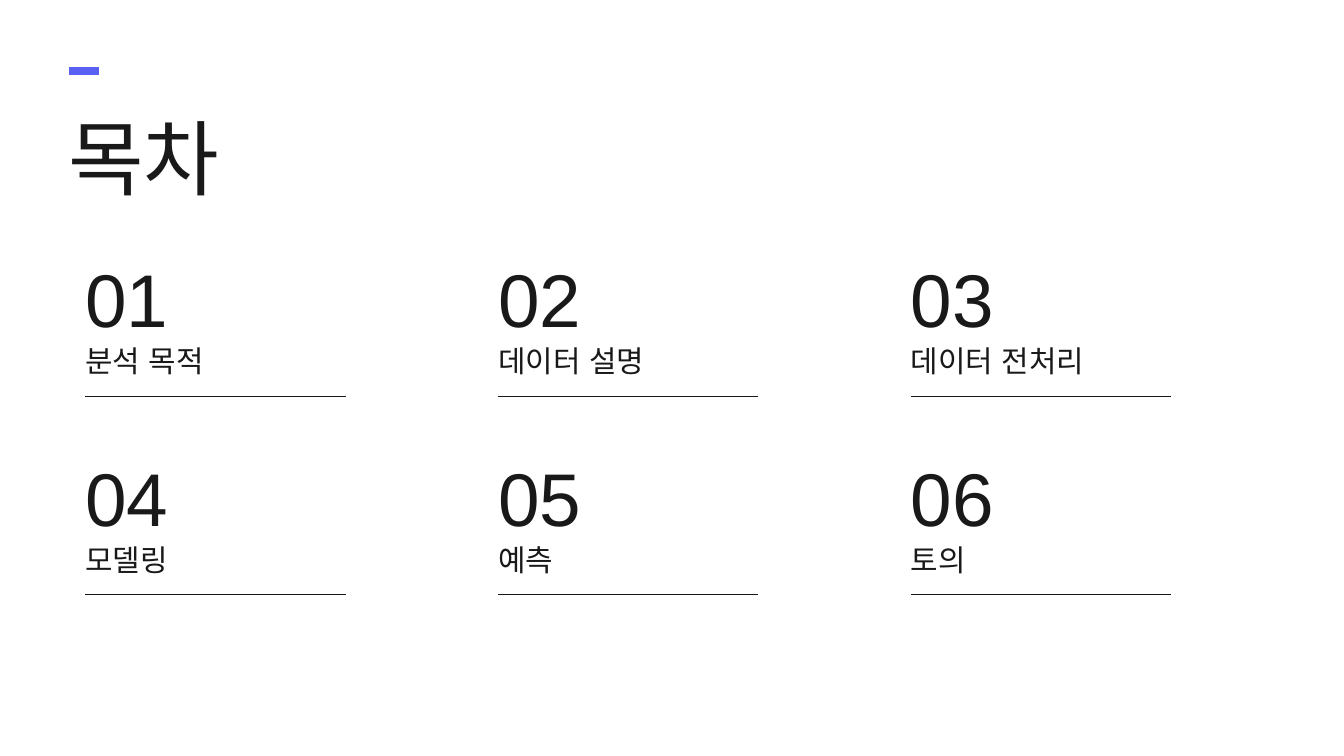
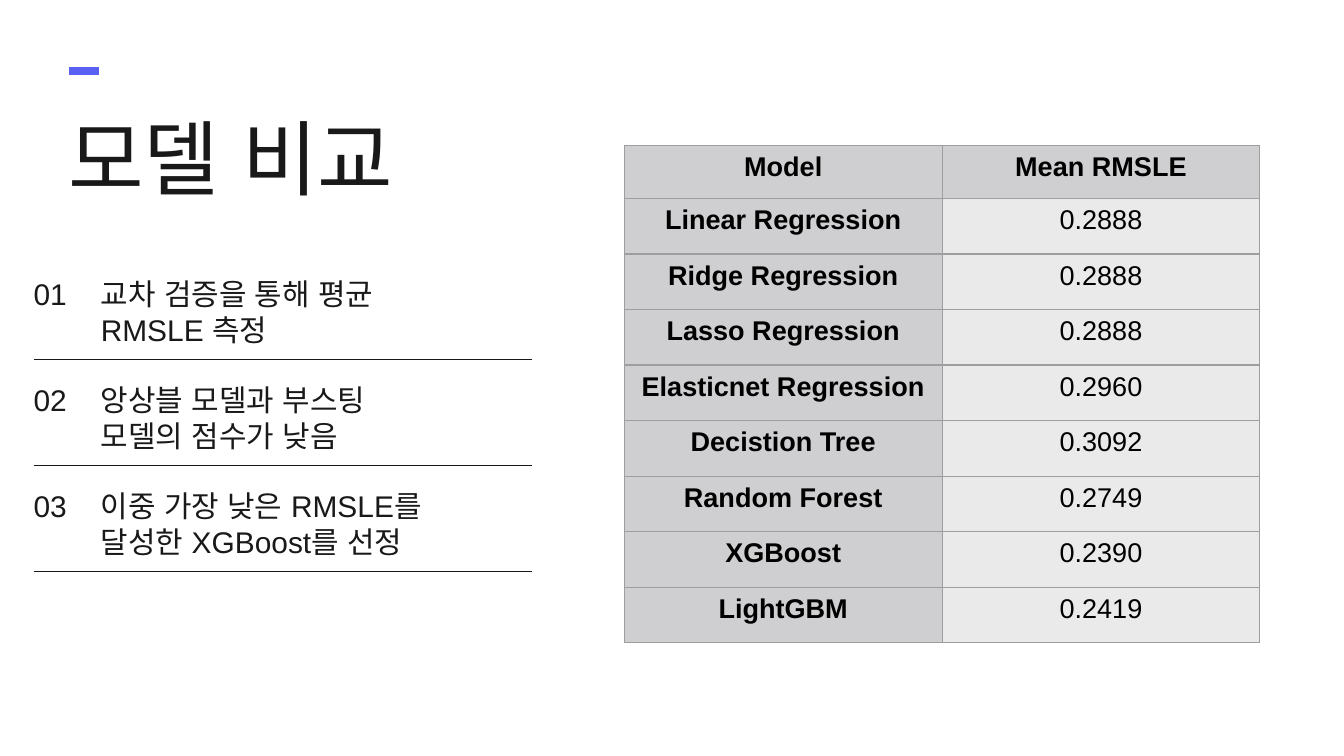
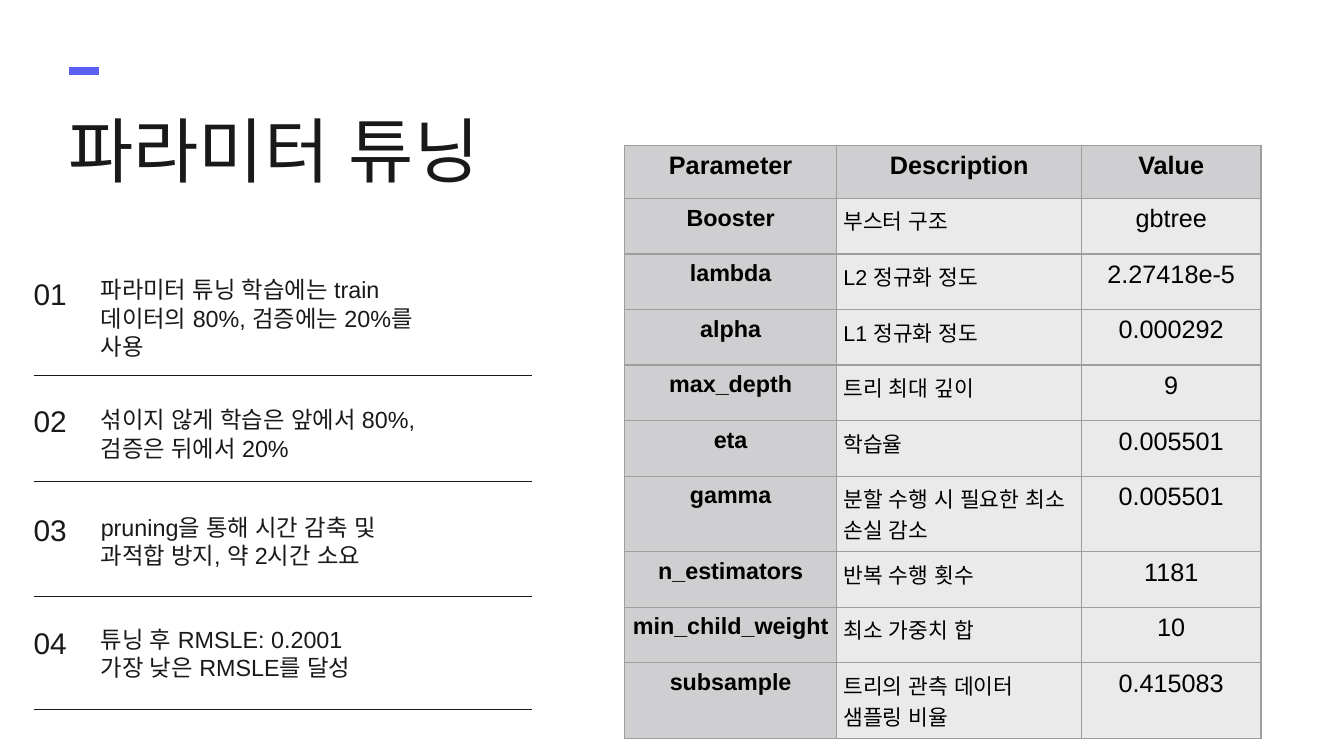
import pptx
import pptx.dml.color
import pptx.enum.lang
import pptx.enum.shapes
import pptx.enum.text
import pptx.oxml.ns
import pptx.util
from lxml import etree
from pptx.util import Cm

INK = pptx.dml.color.RGBColor(0x19, 0x19, 0x19)
BLACK = pptx.dml.color.RGBColor(0x00, 0x00, 0x00)
ACCENT = pptx.dml.color.RGBColor(0x5A, 0x60, 0xF1)
CELL_GREY = pptx.dml.color.RGBColor(0xCF, 0xCF, 0xD1)
BORDER_GREY = pptx.dml.color.RGBColor(0x9E, 0x9E, 0x9E)

FONT = "Arial"
LINE_HEIGHT = 1.21
CENTER = pptx.enum.text.PP_ALIGN.CENTER
LEFT = pptx.enum.text.PP_ALIGN.LEFT
FRAME_FORMAT = {
    "margin_left": 0,
    "margin_right": 0,
    "margin_top": 0,
    "margin_bottom": 0,
    "word_wrap": True,
    "auto_size": pptx.enum.text.MSO_AUTO_SIZE.NONE,
    "vertical_anchor": pptx.enum.text.MSO_ANCHOR.TOP,
}
CELL_FORMAT = {
    "margin_left": Cm(0.25),
    "margin_right": Cm(0.25),
    "margin_top": Cm(0.25),
    "margin_bottom": Cm(0.25),
    "vertical_anchor": pptx.enum.text.MSO_ANCHOR.TOP,
}

AGENDA = ["분석 목적", "데이터 설명", "데이터 전처리", "모델링", "예측", "토의"]

MODEL_NOTES = [
    "교차 검증을 통해 평균 RMSLE 측정",
    "앙상블 모델과 부스팅 모델의 점수가 낮음",
    "이중 가장 낮은 RMSLE를 달성한 XGBoost를 선정",
]
MODEL_SCORES = [
    ("Model", "Mean RMSLE"),
    ("Linear Regression", "0.2888"),
    ("Ridge Regression", "0.2888"),
    ("Lasso Regression", "0.2888"),
    ("Elasticnet Regression", "0.2960"),
    ("Decistion Tree", "0.3092"),
    ("Random Forest", "0.2749"),
    ("XGBoost", "0.2390"),
    ("LightGBM", "0.2419"),
]

TUNING_NOTES = [
    (10.41, 10.41, 14.2, "파라미터 튜닝 학습에는 train 데이터의 80%, 검증에는 20%를 사용"),
    (15.21, 15.32, 18.19, "섞이지 않게 학습은 앞에서 80%, 검증은 뒤에서 20%"),
    (19.35, 19.38, 22.56, "pruning을 통해 시간 감축 및 과적합 방지, 약 2시간 소요"),
    (23.6, 23.62, 26.8, "튜닝 후 RMSLE: 0.2001\n가장 낮은 RMSLE를 달성"),
]
PARAMETERS = [
    ("Parameter", "Description", "Value"),
    ("Booster", "부스터 구조", "gbtree"),
    ("lambda", "L2 정규화 정도", "2.27418e-5"),
    ("alpha", "L1 정규화 정도", "0.000292"),
    ("max_depth", "트리 최대 깊이", "9"),
    ("eta", "학습율", "0.005501"),
    ("gamma", "분할 수행 시 필요한 최소 손실 감소", "0.005501"),
    ("n_estimators", "반복 수행 횟수", "1181"),
    ("min_child_weight", "최소 가중치 합", "10"),
    ("subsample", "트리의 관측 데이터 샘플링 비율", "0.415083"),
]


def apply(target, values):
    for name, value in values.items():
        setattr(target, name, value)


def add_xml(parent, tag, **attributes):
    return etree.SubElement(parent, pptx.oxml.ns.qn(tag), attributes)


class Deck:
    def __init__(self):
        self.presentation = pptx.Presentation()
        self.presentation.slide_width = Cm(50.8)
        self.presentation.slide_height = Cm(28.58)
        self.slide = None

    def new_slide(self, heading, size=88):
        self.slide = self.presentation.slides.add_slide(self.presentation.slide_layouts[5])
        title = self.slide.shapes.title
        apply(title, {"left": Cm(2.59), "top": Cm(4.01),
                      "width": Cm(17.15), "height": Cm(3.76)})
        self.set_text(title.text_frame, heading, size)
        self.rule(2.59, 2.69, 1.17, ACCENT, 8)

    def style_runs(self, paragraph, size, color, bold=False):
        for run in paragraph.runs:
            apply(run.font, {"name": FONT, "size": pptx.util.Pt(size), "bold": bold,
                             "language_id": pptx.enum.lang.MSO_LANGUAGE_ID.KOREAN})
            run.font.color.rgb = color

    def set_text(self, frame, content, size):
        apply(frame, FRAME_FORMAT)
        frame.text = content
        for paragraph in frame.paragraphs:
            apply(paragraph, {"alignment": LEFT,
                              "line_spacing": pptx.util.Pt(size * LINE_HEIGHT)})
            self.style_runs(paragraph, size, INK)
            for run in paragraph.runs:
                add_xml(run._r.get_or_add_rPr(), "a:ea", typeface=FONT)

    def text(self, left, top, width, height, content, size):
        box = self.slide.shapes.add_textbox(Cm(left), Cm(top), Cm(width), Cm(height))
        self.set_text(box.text_frame, content, size)

    def rule(self, left, top, length, color=INK, weight=0.75):
        line = self.slide.shapes.add_connector(
            pptx.enum.shapes.MSO_CONNECTOR.STRAIGHT,
            Cm(left), Cm(top), Cm(left + length), Cm(top))
        line.line.color.rgb = color
        line.line.width = pptx.util.Pt(weight)
        add_xml(line._element.spPr, "a:effectLst")

    def note(self, number, number_top, text_top, rule_top, content, size):
        self.rule(1.27, rule_top, 18.82)
        self.text(1.27, number_top, 2.29, 1.37, f"{number:02}", 32)
        self.text(3.81, text_top, 12.93, 2.74, content, size)

    def border(self, cell):
        properties = cell._tc.get_or_add_tcPr()
        for side in ("a:lnL", "a:lnR", "a:lnT", "a:lnB"):
            edge = add_xml(properties, side, w=str(int(pptx.util.Pt(1.5))))
            add_xml(add_xml(edge, "a:solidFill"), "a:srgbClr", val=str(BORDER_GREY))

    def paint(self, cell, is_label):
        cell.fill.solid()
        cell.fill.fore_color.rgb = CELL_GREY
        if not is_label:
            shade = cell._tc.get_or_add_tcPr().find(pptx.oxml.ns.qn("a:solidFill"))[0]
            add_xml(shade, "a:alpha", val="42000")

    def table(self, rows, widths, header_size, sizes, alignments):
        header_height, row_height = 2.01, 2.1
        grid = self.slide.shapes.add_table(
            len(rows), len(widths), Cm(23.6), Cm(5.49), Cm(sum(widths)),
            Cm(header_height + row_height * (len(rows) - 1))).table
        apply(grid, {"first_row": False, "horz_banding": False})
        for column, width in zip(grid.columns, widths):
            column.width = Cm(width)
        for r, values in enumerate(rows):
            grid.rows[r].height = Cm(row_height if r else header_height)
            for c, value in enumerate(values):
                cell = grid.cell(r, c)
                is_label = r == 0 or c == 0
                apply(cell, CELL_FORMAT)
                self.border(cell)
                self.paint(cell, is_label)
                cell.text = value
                paragraph = cell.text_frame.paragraphs[0]
                paragraph.alignment = alignments[c] if r else CENTER
                self.style_runs(paragraph, sizes[c] if r else header_size, BLACK, is_label)


def main():
    deck = Deck()

    deck.new_slide("목차")
    for index, topic in enumerate(AGENDA):
        row, column = divmod(index, 3)
        left, top = 3.23 + 15.6 * column, 9.53 + 7.52 * row
        deck.text(left, top, 5.51, 3.43, f"{index + 1:02}", 80)
        deck.text(left, top + 3.43, 9.83, 1.37, topic, 32)
        deck.rule(left, top + 5.44, 9.83, weight=1)

    deck.new_slide("모델 비교")
    deck.table(MODEL_SCORES, (12.01, 12.01), 29, (29, 29), (CENTER, CENTER))
    for index, finding in enumerate(MODEL_NOTES):
        top = 10.41 + 4 * index
        deck.note(index + 1, top, top, top + 3.18, finding, 32)

    deck.new_slide("파라미터 튜닝", 76)
    deck.table(PARAMETERS, (8.03, 9.25, 6.78), 27, (25, 23, 27), (CENTER, LEFT, CENTER))
    for number, (number_top, text_top, rule_top, finding) in enumerate(TUNING_NOTES, 1):
        deck.note(number, number_top, text_top, rule_top, finding, 25)

    deck.presentation.save("out.pptx")


if __name__ == "__main__":
    main()
